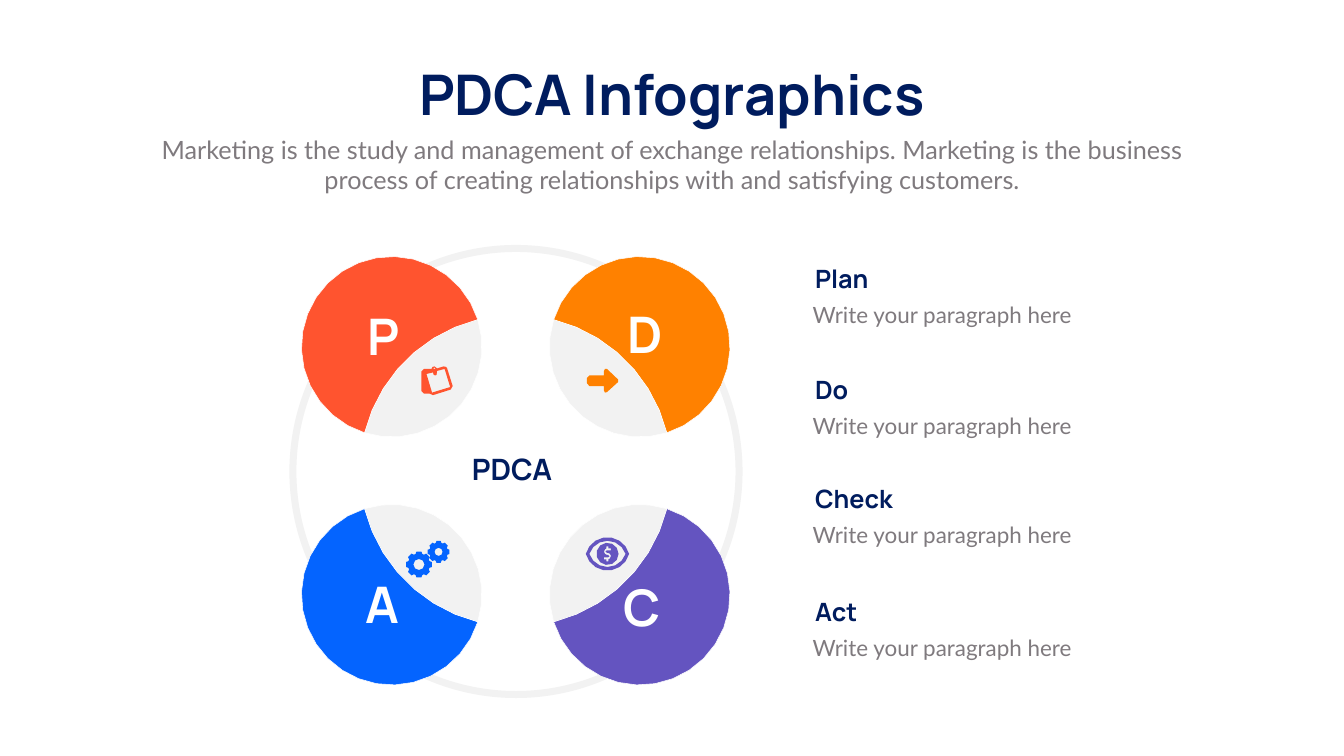
from math import acos, asin, ceil, cos, degrees, radians, sin

from lxml import etree
from pptx import Presentation
from pptx.dml.color import RGBColor
from pptx.enum.shapes import MSO_SHAPE
from pptx.enum.text import MSO_ANCHOR, MSO_AUTO_SIZE, PP_ALIGN
from pptx.oxml.ns import qn
from pptx.util import Inches, Pt

OVAL = MSO_SHAPE.OVAL
MIDDLE = MSO_ANCHOR.MIDDLE
FIT_SHAPE = MSO_AUTO_SIZE.SHAPE_TO_FIT_TEXT
LEFT, CENTER = PP_ALIGN.LEFT, PP_ALIGN.CENTER

NAVY = RGBColor(0x00, 0x1C, 0x5E)
GRAY = RGBColor(0x7F, 0x7A, 0x7E)
SHADE = RGBColor(0x80, 0x80, 0x80)
WHITE = RGBColor(0xFF, 0xFF, 0xFF)
RED = RGBColor(0xFF, 0x54, 0x2F)
ORANGE = RGBColor(0xFF, 0x81, 0x00)
PURPLE = RGBColor(0x64, 0x54, 0xC0)
BLUE = RGBColor(0x04, 0x64, 0xFF)

HEADING, BODY = "Manrope", "Lato"
SHADE_OPACITY = 10
ARC_TOLERANCE = 0.01

# The wheel's inner circle cuts every petal into a crescent and a lens.
WHEEL_X, WHEEL_Y, WHEEL_RADIUS = 10.23, 9.34, 3.09
PETAL_OFFSET, PETAL_RADIUS = 2.46, 1.79

# letter, word, colour, direction in degrees, letter box left and top, label top
STAGES = [
    ("P", "Plan", RED, 225, 6.87, 6.0, 5.17),
    ("D", "Do", ORANGE, 315, 12.06, 5.95, 7.38),
    ("C", "Check", PURPLE, 45, 11.99, 11.37, 9.53),
    ("A", "Act", BLUE, 135, 6.85, 11.32, 11.77),
]

ARROW = [(11.64, 7.5), (11.69, 7.45), (11.98, 7.45), (11.98, 7.36), (12.0, 7.32),
         (12.04, 7.32), (12.26, 7.53), (12.26, 7.58), (12.04, 7.78), (12.0, 7.79),
         (11.98, 7.75), (11.98, 7.66), (11.69, 7.66), (11.64, 7.6)]
NOTE_EDGE = [(8.98, 7.66), (8.87, 7.31), (8.85, 7.28), (8.8, 7.27), (8.67, 7.31),
             (8.62, 7.27), (8.58, 7.28), (8.56, 7.32), (8.41, 7.32), (8.36, 7.37),
             (8.36, 7.76), (8.41, 7.81), (8.52, 7.81), (8.59, 7.84), (8.94, 7.73)]
NOTE_CLIP = [(8.62, 7.29), (8.64, 7.32), (8.59, 7.32)]
NOTE_PAGE = [(8.93, 7.68), (8.57, 7.79), (8.46, 7.42), (8.59, 7.39), (8.6, 7.43),
             (8.63, 7.45), (8.66, 7.44), (8.67, 7.36), (8.82, 7.32)]
HALF_DOLLAR = [(-0.02, -0.15), (0.02, -0.15), (0.02, -0.11), (0.07, -0.11),
               (0.07, -0.07), (-0.01, -0.07), (-0.04, -0.05), (-0.01, -0.02),
               (0.01, -0.02), (0.05, 0), (0.07, 0.04), (0.05, 0.09), (0.02, 0.11)]


def polar(x, y, radius, angle):
    return x + radius * cos(radians(angle)), y + radius * sin(radians(angle))


def arc(x, y, radius, start, end):
    """Points along an arc, as few as the tolerance allows."""
    widest = min(45, 2 * degrees(acos(1 - ARC_TOLERANCE / radius)))
    steps = ceil((end - start) / widest)
    return [polar(x, y, radius, start + (end - start) * i / steps)
            for i in range(steps + 1)]


def almond(x, y, half_width, half_height):
    """Outline between two equal arcs that meet in points left and right."""
    radius = (half_width ** 2 + half_height ** 2) / (2 * half_height)
    spread = degrees(asin(half_width / radius))
    shift = radius - half_height
    return (arc(x, y + shift, radius, 270 - spread, 270 + spread)
            + arc(x, y - shift, radius, 90 - spread, 90 + spread))


def gear(x, y, radius, hole):
    """Eight-toothed wheel and its hole."""
    root = 0.84 * radius
    teeth = [polar(x, y, size, 45 * tooth + turn) for tooth in range(8)
             for size, turn in ((root, -18), (radius, -11), (radius, 11), (root, 18))]
    return [teeth, arc(x, y, hole, 0, 360)]


def dollar(x, y):
    return [(x + side * dx, y + side * dy) for side in (1, -1) for dx, dy in HALF_DOLLAR]


def petal_outlines(direction):
    """Crescent and lens of the petal that lies in the given direction."""
    distance = PETAL_OFFSET * 2 ** 0.5
    x, y = polar(WHEEL_X, WHEEL_Y, distance, direction)
    chord = (distance ** 2 + WHEEL_RADIUS ** 2 - PETAL_RADIUS ** 2) / (2 * distance)
    spread = degrees(acos(chord / WHEEL_RADIUS))
    outer = 180 - degrees(acos((distance - chord) / PETAL_RADIUS))
    cut = arc(WHEEL_X, WHEEL_Y, WHEEL_RADIUS, direction - spread, direction + spread)
    crescent = arc(x, y, PETAL_RADIUS, direction - outer, direction + outer) + cut[-2:0:-1]
    lens = arc(x, y, PETAL_RADIUS, direction + outer, direction + 360 - outer) + cut[1:-1]
    return crescent, lens


def set_opacity(fill_parent, percent):
    color = fill_parent.find(".//" + qn("a:srgbClr"))
    etree.SubElement(color, qn("a:alpha")).set("val", str(percent * 1000))


class Page:
    def __init__(self, slide):
        self.shapes = slide.shapes

    def text(self, words, left, top, width, height, size, color=NAVY, font=HEADING,
             align=CENTER, wrap=True):
        box = self.shapes.add_textbox(Inches(left), Inches(top), Inches(width), Inches(height))
        frame = box.text_frame
        frame.word_wrap = wrap
        frame.auto_size = FIT_SHAPE
        frame.vertical_anchor = MIDDLE
        para = frame.paragraphs[0]
        para.alignment = align
        span = para.add_run()
        span.text = words
        span.font.name = font
        span.font.size = Pt(size)
        span.font.bold = font == HEADING
        span.font.color.rgb = color

    def ring(self, left, top, size, weight):
        ring = self.shapes.add_shape(OVAL, Inches(left), Inches(top), Inches(size), Inches(size))
        ring.shadow.inherit = False
        ring.fill.background()
        ring.line.color.rgb = SHADE
        ring.line.width = Pt(weight)
        set_opacity(ring.line._ln, SHADE_OPACITY)

    def outline(self, contours, color, edge=None, opacity=None):
        """One filled shape; contours after the first are holes."""
        builder = None
        for contour in contours:
            points = [(Inches(x), Inches(y)) for x, y in contour]
            if builder is None:
                builder = self.shapes.build_freeform(*points[0])
            else:
                builder.move_to(*points[0])
            builder.add_line_segments(points[1:], close=True)
        shape = builder.convert_to_shape()
        shape.shadow.inherit = False
        shape.fill.solid()
        shape.fill.fore_color.rgb = color
        if opacity:
            set_opacity(shape._element.spPr.find(qn("a:solidFill")), opacity)
        if edge is None:
            shape.line.fill.background()
        else:
            shape.line.color.rgb = edge
            shape.line.width = Pt(0.75)


def main():
    deck = Presentation()
    deck.slide_width, deck.slide_height = Inches(26.66), Inches(15)
    page = Page(deck.slides.add_slide(deck.slide_layouts[6]))

    page.text("PDCA Infographics", 7.85, 1.12, 10.96, 1.45, 80, wrap=False)
    page.text("Marketing is the study and management of exchange relationships. "
              "Marketing is the business process of creating relationships with "
              "and satisfying customers.", 2.92, 2.61, 20.82, 1.31, 36, GRAY, BODY)

    page.ring(5.81, 4.93, 8.85, 10)
    for letter, word, color, direction, left, top, label_top in STAGES:
        crescent, lens = petal_outlines(direction)
        page.outline([crescent], color, WHITE)
        page.outline([lens], SHADE, WHITE, SHADE_OPACITY)
        page.text(letter, left, top, 1.49, 1.31, 72, WHITE)
        page.text(word, 16.07, label_top, 2.16, 0.71, 36, align=LEFT)
        page.text("Write your paragraph here", 16.02, label_top + 0.75, 5.5, 0.64, 32,
                  GRAY, BODY, LEFT)

    page.outline([NOTE_EDGE, NOTE_CLIP, NOTE_PAGE], RED)
    page.outline([ARROW], ORANGE)
    for wheel in (gear(8.31, 11.2, 0.26, 0.11), gear(8.7, 10.95, 0.22, 0.08)):
        page.outline(wheel, BLUE)
    eye = 12.05, 10.99
    page.outline([almond(*eye, 0.43, 0.33), almond(*eye, 0.36, 0.26)], PURPLE)
    page.outline([arc(*eye, 0.22, 0, 360), dollar(*eye)], PURPLE)
    page.text("PDCA", 8.47, 8.89, 3.37, 0.81, 42)

    deck.save("out.pptx")


if __name__ == "__main__":
    main()
